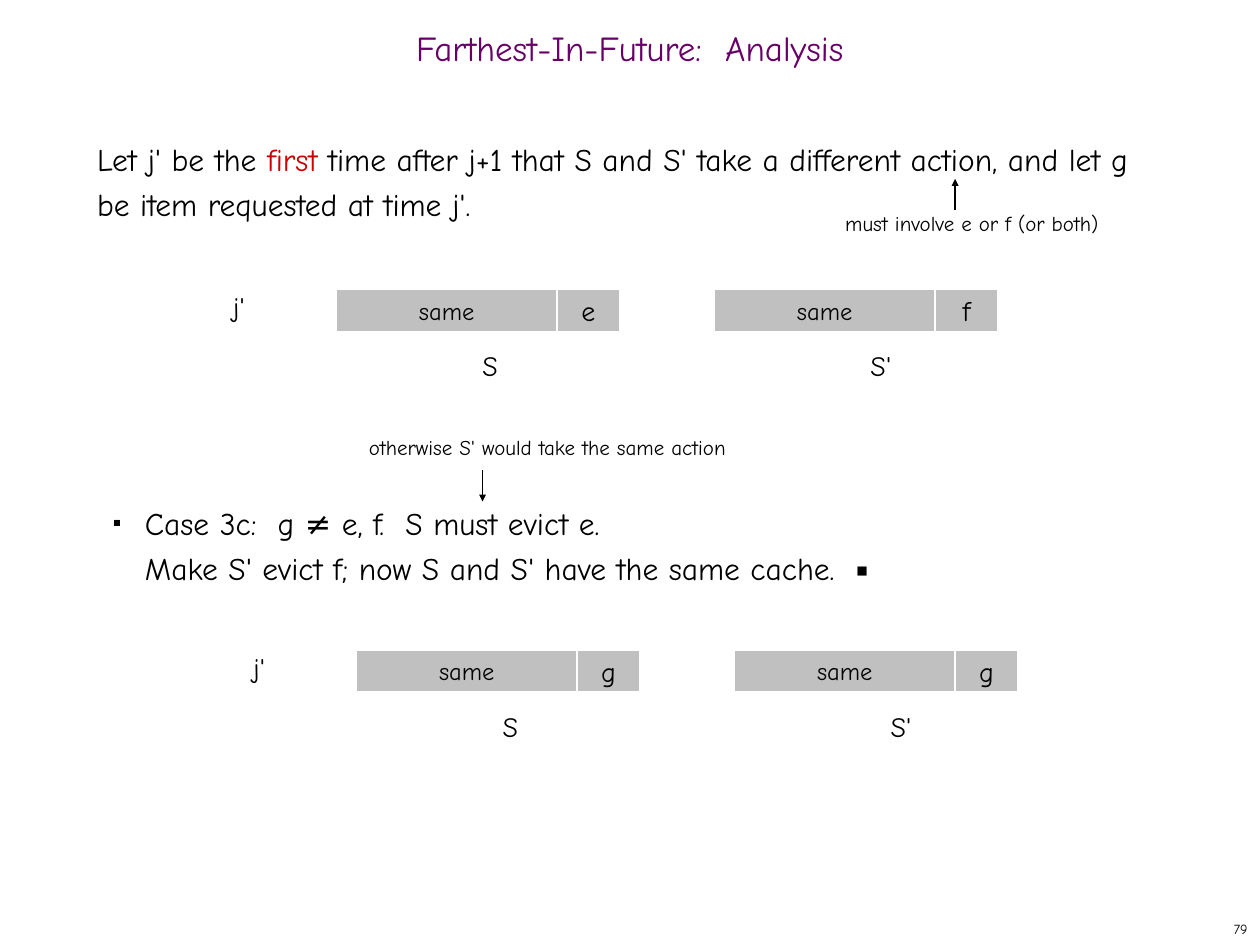
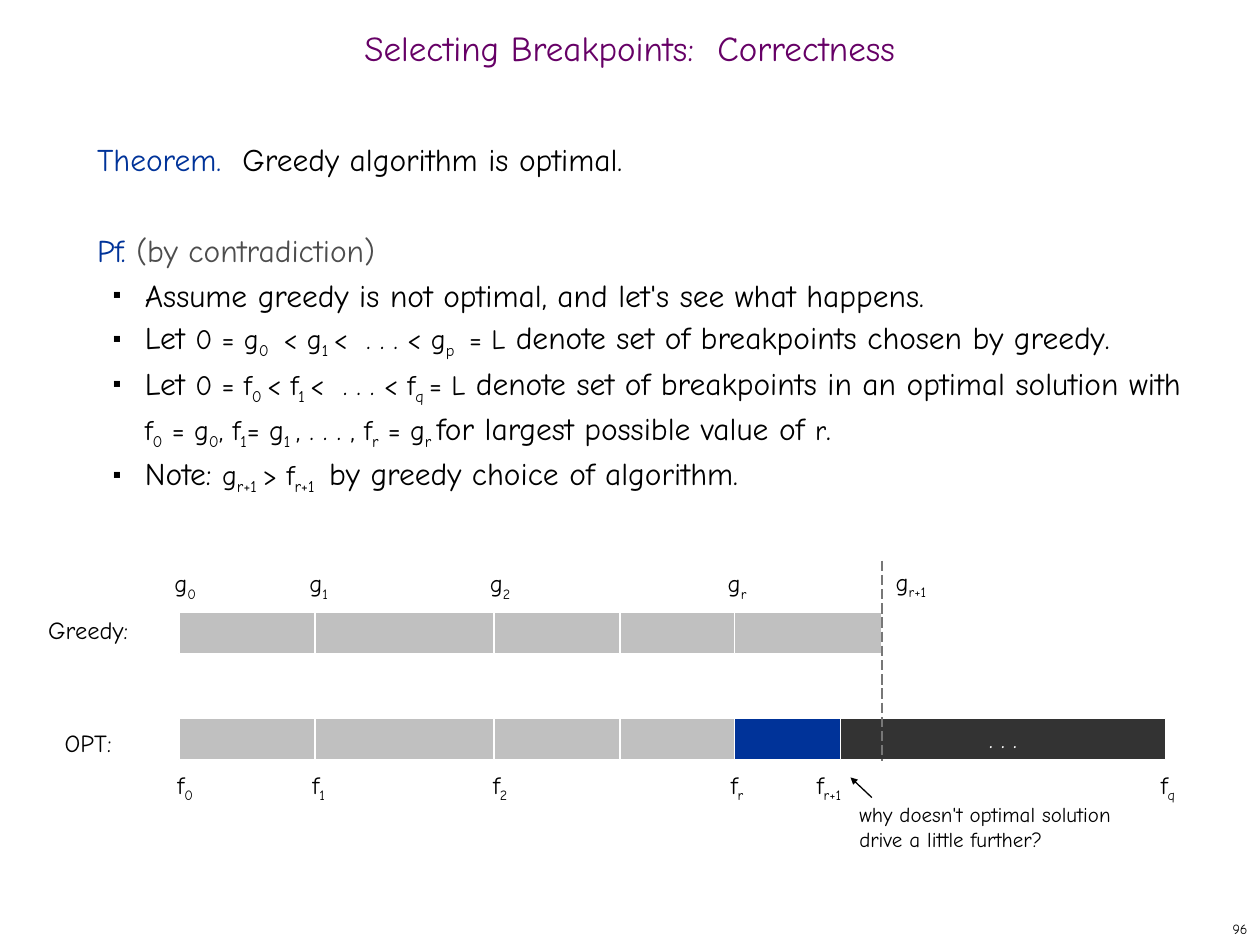
from lxml import etree
from pptx import Presentation
from pptx import util as u
from pptx.dml import color as dml_color
from pptx.enum import dml, shapes, text
from pptx.oxml import ns

FONT = "Comic Neue"
BLACK, WHITE, GRAY, DARK = "000000", "FFFFFF", "C0C0C0", "333333"
PURPLE, RED, BLUE, MUTED, DASH = "660066", "CC0000", "003399", "4D4D4D", "777777"
BAR_HEIGHT = 0.33
CENTER = text.PP_ALIGN.CENTER
MIDDLE = text.MSO_ANCHOR.MIDDLE


def rgb(value):
    """Turn a hex string into a colour."""
    return dml_color.RGBColor.from_string(value)


def apply(target, values):
    """Set each attribute named in a dict of format values."""
    for name, value in values.items():
        setattr(target, name, value)


def box(left, top, width, height):
    """Give four lengths in inches."""
    return [u.Inches(length) for length in (left, top, width, height)]


def sub_element(parent, tag, **attributes):
    """Append a drawing element with its attributes."""
    return etree.SubElement(parent, ns.qn(tag), attributes)


def add_run(paragraph, content, size=18, color=BLACK, baseline=0):
    """Add one formatted run, breaking lines at newlines."""
    for number, line in enumerate(content.split("\n")):
        if number:
            paragraph.add_line_break()
        run = paragraph.add_run()
        run.text = line
        apply(run.font, {"name": FONT, "size": u.Pt(size), "bold": False})
        run.font.color.rgb = rgb(color)
        if baseline:
            run.font._element.set("baseline", str(baseline * 1000))


def add_formula(paragraph, content, size=16, color=BLACK):
    """Add runs in which every second part between underscores is a subscript."""
    for number, part in enumerate(content.split("_")):
        if part:
            add_run(paragraph, part, size, color, -25 if number % 2 else 0)


def add_slide(deck, title, number):
    """Add a slide with its title and page number."""
    slide = deck.slides.add_slide(deck.slide_layouts[1])
    heading = slide.shapes.title
    apply(heading, dict(zip(("left", "top", "width", "height"), box(0, 0.17, 10, 0.5))))
    apply(heading.text_frame, {"vertical_anchor": MIDDLE, "word_wrap": True,
                               "auto_size": text.MSO_AUTO_SIZE.NONE})
    paragraph = heading.text_frame.paragraphs[0]
    apply(paragraph, {"alignment": CENTER, "line_spacing": 0.7})
    add_run(paragraph, title, 20, PURPLE)
    add_label(slide, number, (7.92, 7.25, 2.08, 0.25), 8,
              text.PP_ALIGN.RIGHT, MIDDLE, grow=False)
    return slide


def start_body(slide, width):
    """Place the body placeholder and return its text frame."""
    body = slide.placeholders[1]
    apply(body, dict(zip(("left", "top", "width", "height"), box(0.67, 1, width, 5.92))))
    body.text_frame.auto_size = text.MSO_AUTO_SIZE.NONE
    return body.text_frame


def add_body_paragraph(frame, parts, bullet=False, before=0):
    """Add a body paragraph; a plain string is a formula, a tuple is a run."""
    paragraph = frame.paragraphs[0]
    if paragraph.runs:
        paragraph = frame.add_paragraph()
    apply(paragraph, {"level": int(bullet), "line_spacing": u.Pt(26),
                      "space_before": u.Pt(before), "alignment": text.PP_ALIGN.LEFT})
    properties = paragraph._p.get_or_add_pPr()
    properties.set("marL", str(u.Inches(0.38 if bullet else 0)))
    properties.set("indent", str(u.Inches(-0.25 if bullet else 0)))
    if bullet:
        sub_element(sub_element(properties, "a:buClr"), "a:srgbClr", val=BLACK)
        sub_element(properties, "a:buSzPct", val="25000")
        sub_element(properties, "a:buFont", typeface=FONT)
        sub_element(properties, "a:buChar", char="■")
    else:
        sub_element(properties, "a:buNone")
    for part in parts:
        if isinstance(part, str):
            add_formula(paragraph, part)
        else:
            add_run(paragraph, part[0], color=part[1])


def add_label(slide, content, place, size, align=text.PP_ALIGN.LEFT,
              anchor=text.MSO_ANCHOR.TOP, grow=True):
    """Add an unwrapped text label, which may hold subscripts."""
    frame = slide.shapes.add_textbox(*box(*place)).text_frame
    fit = text.MSO_AUTO_SIZE.SHAPE_TO_FIT_TEXT if grow else text.MSO_AUTO_SIZE.NONE
    apply(frame, {"word_wrap": False, "vertical_anchor": anchor, "auto_size": fit})
    frame.paragraphs[0].alignment = align
    add_formula(frame.paragraphs[0], content, size)
    return frame


def add_mark(slide, content, center, top, width=0.5):
    """Add a label centred on a position beside or along a bar."""
    add_label(slide, content, (center - width / 2, top, width, 0.37), 14, CENTER, MIDDLE)


def add_bar(slide, left, top, width, fill=GRAY, content="", size=14, color=BLACK):
    """Add one filled bar segment with a white outline."""
    bar = slide.shapes.add_shape(shapes.MSO_SHAPE.RECTANGLE,
                                 *box(left, top, width, BAR_HEIGHT))
    bar.shadow.inherit = False
    bar.fill.solid()
    bar.fill.fore_color.rgb = rgb(fill)
    bar.line.color.rgb = rgb(WHITE)
    bar.line.width = u.Pt(0.75)
    if content:
        apply(bar.text_frame, {"word_wrap": False, "vertical_anchor": MIDDLE})
        bar.text_frame.paragraphs[0].alignment = CENTER
        add_run(bar.text_frame.paragraphs[0], content, size, color)


def add_line(slide, start, end, color=BLACK, dashed=False):
    """Add a dashed line or an arrow pointing at its end."""
    line = slide.shapes.add_connector(
        shapes.MSO_CONNECTOR.STRAIGHT, *[u.Inches(value) for value in start + end])
    line.line.color.rgb = rgb(color)
    line.line.width = u.Pt(0.75)
    if dashed:
        line.line.dash_style = dml.MSO_LINE.LONG_DASH
    else:
        sub_element(line.line._get_or_add_ln(), "a:tailEnd",
                    type="triangle", w="sm", len="sm")
    sub_element(line._element.spPr, "a:effectLst")


def add_caches(slide, left, top, items):
    """Draw the caches of S and S' at time j'."""
    add_label(slide, "j'", (left - 0.92, top - 0.05, 0.38, 0.41), 16)
    for number, (name, item) in enumerate(zip(("S", "S'"), items)):
        cache_left = left + 3 * number
        add_bar(slide, cache_left, top, 1.75, content="same")
        add_bar(slide, cache_left + 1.75, top, 0.5, content=item, size=16)
        add_label(slide, name, (cache_left + 1.06 + 0.08 * number, top + 0.42, 0.4, 0.41), 16)


def add_route(slide, top, stops, fills):
    """Draw a route as bar segments between stops."""
    for start, end, fill in zip(stops, stops[1:], fills):
        add_bar(slide, start, top, end - start, fill,
                ". . ." if fill == DARK else "", color=WHITE)


def build_analysis(deck):
    """Build the slide on farthest-in-future caching."""
    slide = add_slide(deck, "Farthest-In-Future:  Analysis", "79")
    body = start_body(slide, 8.58)
    add_body_paragraph(body, [
        ("Let j' be the ", BLACK), ("first", RED),
        (" time after j+1 that S and S' take a different action, and let g "
         "be item requested at time j'.", BLACK)])
    add_body_paragraph(body, [
        ("Case 3c:  g ≠ e, f.  S must evict e.\n"
         "Make S' evict f; now S and S' have the same cache.  ▪", BLACK)],
        bullet=True, before=6 * 26)
    add_caches(slide, 2.83, 5.16, "gg")
    add_caches(slide, 2.67, 2.3, "ef")
    add_line(slide, (3.83, 3.73), (3.83, 3.98))
    add_label(slide, "otherwise S' would take the same action", (2.83, 3.4, 3.3, 0.34), 12)
    add_line(slide, (7.58, 1.67), (7.58, 1.42))
    add_label(slide, "must involve e or f (or both)", (6.61, 1.62, 2.37, 0.34), 12)


def build_correctness(deck):
    """Build the slide on greedy breakpoints."""
    slide = add_slide(deck, "Selecting Breakpoints:  Correctness", "96")
    body = start_body(slide, 8.83)
    add_body_paragraph(body, [("Theorem.  ", BLUE), ("Greedy algorithm is optimal.", BLACK)])
    add_body_paragraph(body, [("Pf. ", BLUE), ("(by contradiction)", MUTED)], before=26)
    steps = [
        [("Assume greedy is not optimal, and let's see what happens.", BLACK)],
        [("Let ", BLACK), "0 = g_0 _ < g_1 _<  . . . < g_p _ = L",
         (" denote set of breakpoints chosen by greedy.", BLACK)],
        [("Let ", BLACK), "0 = f_0 _< f_1 _<  . . . < f_q _= L",
         (" denote set of breakpoints in an optimal solution with ", BLACK),
         "f_0_ = g_0_, f_1_= g_1 _, . . . , f_r_ = g_r _",
         ("for largest possible value of ", BLACK), "r", (".", BLACK)],
        [("Note: ", BLACK), "g_r+1 _> f_r+1 _ ", ("by greedy choice of algorithm.", BLACK)],
    ]
    for step in steps:
        add_body_paragraph(body, step, bullet=True)

    shared_stops = [1.42, 2.5, 3.92, 4.92, 5.83]
    add_route(slide, 5.7, shared_stops + [6.67, 9.25], [GRAY] * 4 + [BLUE, DARK])
    add_route(slide, 4.86, shared_stops + [7], [GRAY] * 5)
    add_mark(slide, "Greedy:", 0.7, 4.81, width=1)
    add_mark(slide, "OPT:", 0.7, 5.71, width=1)
    for index, center in zip("012r", (1.47, 2.53, 3.97, 5.85)):
        add_mark(slide, f"g_{index}_", center, 4.46)
        add_mark(slide, f"f_{index}_", center, 6.06)
    add_mark(slide, "f_q_", 9.27, 6.06)
    add_mark(slide, "f_r+1_", 6.58, 6.06)
    add_mark(slide, "g_r+1_", 7.23, 4.45)
    question = add_label(slide, "why doesn't optimal solution drive a little further?",
                         (6.82, 6.36, 2.34, 0.47), 12)
    apply(question, {"word_wrap": True, "margin_left": 0, "margin_right": 0,
                     "margin_top": 0, "margin_bottom": 0})
    add_line(slide, (6.92, 6.33), (6.75, 6.17))
    add_line(slide, (7, 4.45), (7, 6.04), DASH, dashed=True)


def main():
    """Build both slides and save the deck."""
    deck = Presentation()
    apply(deck, {"slide_width": u.Inches(10), "slide_height": u.Inches(7.5)})
    build_analysis(deck)
    build_correctness(deck)
    deck.save("out.pptx")


if __name__ == "__main__":
    main()
